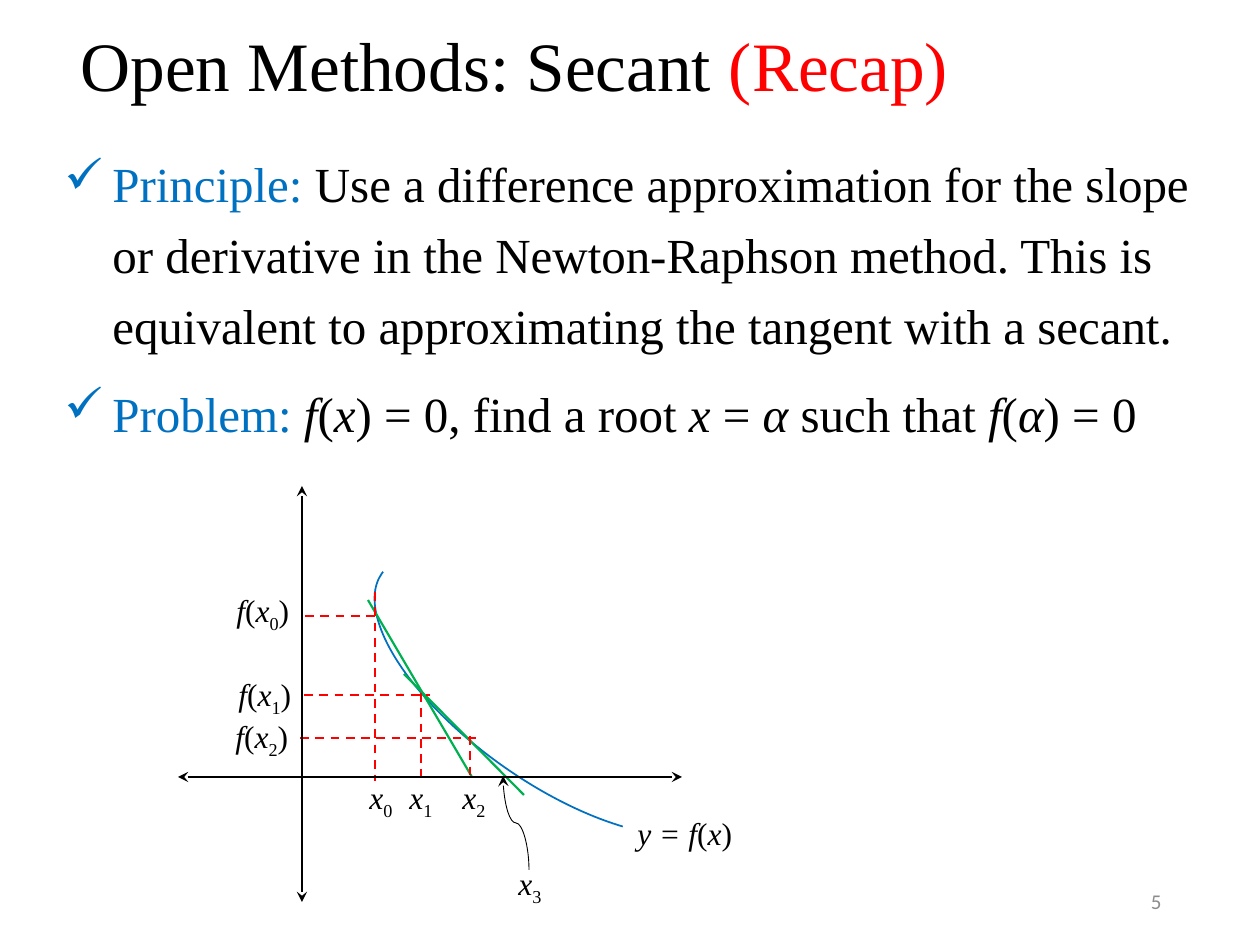
from dataclasses import dataclass
from itertools import groupby

from lxml.etree import SubElement
from pptx import Presentation
from pptx.dml.color import RGBColor as Rgb
from pptx.enum.dml import MSO_LINE_DASH_STYLE as Dash
from pptx.enum.shapes import MSO_CONNECTOR as Link, MSO_SHAPE as Preset
from pptx.enum.text import MSO_ANCHOR as Anchor, PP_ALIGN as Align
from pptx.oxml.ns import qn
from pptx.util import Emu, Pt


@dataclass(frozen=True)
class Theme:
    """Colours, fonts and type sizes of the slide."""
    ink: Rgb = Rgb(0, 0, 0)
    recap: Rgb = Rgb(255, 0, 0)
    lead: Rgb = Rgb(0, 112, 192)
    secant: Rgb = Rgb(0, 176, 80)
    muted: Rgb = Rgb(140, 140, 140)
    serif: str = "Times New Roman"
    sans: str = "Calibri"
    title: float = 39.6
    body: int = 28
    label: int = 18
    number: int = 12


THEME = Theme()


def px(length):
    """Turn slide pixels into EMU."""
    return Emu(round(length * 914400 / 126))


def add_frame(shapes, box, anchor=Anchor.TOP):
    """Add a wrapping text box and return its text frame."""
    frame = shapes.add_textbox(*map(px, box)).text_frame
    frame.word_wrap = True
    frame.vertical_anchor = anchor
    return frame


def set_font(paragraph, size, color=THEME.ink, name=THEME.serif):
    """Set the font shared by a whole paragraph."""
    font = paragraph.font
    font.size, font.name = Pt(size), name
    font.color.rgb = color


def add_run(paragraph, text, color=None, italic=None):
    """Add a run with its own colour or slant."""
    run = paragraph.add_run()
    run.text = text
    run.font.italic = italic
    if color is not None:
        run.font.color.rgb = color
    return run


def add_title(slide, box):
    """Place the heading with its red suffix."""
    heading = add_frame(slide.shapes, box, Anchor.MIDDLE).paragraphs[0]
    heading.line_spacing = 0.9
    set_font(heading, THEME.title)
    add_run(heading, "Open Methods: Secant ")
    add_run(heading, "(Recap)", THEME.recap)


def add_points(slide, box):
    """Place the check-marked points, slanting every second piece."""
    points = (
        ("Principle: ", ("Use a difference approximation for the slope or derivative "
                         "in the Newton-Raphson method. This is equivalent to "
                         "approximating the tangent with a secant.",)),
        ("Problem: ", ("", "f", "(", "x", ") = 0, find a root ", "x", " = ", "α",
                       " such that ", "f", "(", "α", ") = 0")),
    )
    frame = add_frame(slide.shapes, box)
    for index, (lead, pieces) in enumerate(points):
        point = frame.add_paragraph() if index else frame.paragraphs[0]
        properties = point._p.get_or_add_pPr()
        properties.set("marL", str(px(48)))
        properties.set("indent", str(px(-48)))
        SubElement(properties, qn("a:buChar")).set("char", "✓")
        point.line_spacing = 1.2
        point.space_before = Pt(10 if index else 0)
        set_font(point, THEME.body)
        add_run(point, lead, THEME.lead)
        for place, piece in enumerate(pieces):
            if piece:
                add_run(point, piece, italic=place % 2 == 1)


def add_number(slide, box):
    """Place the slide number."""
    number = add_frame(slide.shapes, box, Anchor.MIDDLE).paragraphs[0]
    number.alignment = Align.RIGHT
    set_font(number, THEME.number, THEME.muted, THEME.sans)
    add_run(number, "5")


def add_line(shapes, ends, color, width, kind=Link.STRAIGHT, dash=None, arrows=()):
    """Add a connector with optional dashes and stealth arrowheads."""
    connector = shapes.add_connector(kind, *map(px, ends))
    line = connector.line
    line.color.rgb, line.width = color, Pt(width)
    if dash:
        line.dash_style = dash
    for arrow in arrows:
        SubElement(line._get_or_add_ln(), qn(f"a:{arrow}")).set("type", "stealth")
    SubElement(connector._element.spPr, qn("a:effectLst"))
    return connector


def add_label(shapes, box, formula):
    """Add a formula with slanted letters and lowered digits."""
    label = add_frame(shapes, box).paragraphs[0]
    set_font(label, THEME.label)
    for (lowered, bracket), letters in groupby(
            formula, lambda letter: (letter.isdigit(), letter in "()")):
        run = add_run(label, "".join(letters), italic=not (lowered or bracket))
        if lowered:
            run.font._element.set("baseline", "-25000")


def add_graph(slide, box):
    """Draw the function, its secants, guides, axes and labels."""
    left, top, width, height = box
    axis_x, axis_y = 124, 291
    shapes = slide.shapes.add_group_shape().shapes

    def shift(x1, y1, x2, y2):
        return left + x1, top + y1, left + x2, top + y2

    pointer = add_line(shapes, shift(291, 350, 385, 324), THEME.ink, 0.5,
                       Link.CURVE, arrows=("tailEnd",))
    pointer._element.spPr.xfrm.set("rot", str(270 * 60000))

    curve = shapes.add_shape(
        Preset.ARC, *map(px, (left + 288, top - 2, 176, 421)))
    curve.rotation = 125.1
    curve.adjustments[0], curve.adjustments[1] = 178.45, 54.34
    curve.fill.background()
    curve.line.color.rgb, curve.line.width = THEME.lead, Pt(1)
    curve.shadow.inherit = False

    for ends in ((190, 114, 294, axis_y), (226, 188, 346, 309)):
        add_line(shapes, shift(*ends), THEME.secant, 1.25)

    for start, end, level in ((127, 203, 130), (126, 252, 209), (122, 298, 252)):
        add_line(shapes, shift(start, level, end, level), THEME.recap, 1.25,
                 dash=Dash.DASH)
    for root, start in ((197, 106), (243, 207), (292, 250)):
        add_line(shapes, shift(root, start, root, axis_y + 4), THEME.recap, 1.25,
                 dash=Dash.DASH)

    for ends in ((0, axis_y, width, axis_y), (axis_x, height, axis_x, 0)):
        add_line(shapes, shift(*ends), THEME.ink, 1.5, arrows=("headEnd", "tailEnd"))

    labels = (
        ("x0", 179, 286, 53), ("x1", 219, 286, 53), ("x2", 272, 286, 66),
        ("x3", 328, 372, 66), ("y = f(x)", 447, 322, 132),
        ("f(x0)", 46, 99, 96), ("f(x1)", 48, 183, 96), ("f(x2)", 45, 225, 96),
    )
    for formula, x, y, span in labels:
        add_label(shapes, (left + x, top + y, span, 50), formula)


def main():
    """Build and save the slide."""
    deck = Presentation()
    deck.slide_width, deck.slide_height = px(1260), px(945)
    slide = deck.slides.add_slide(deck.slide_layouts[6])
    add_title(slide, (68, 33, 1046, 72))
    add_points(slide, (52, 136, 1157, 756))
    add_number(slide, (890, 876, 284, 50))
    add_graph(slide, (178, 486, 504, 416))
    deck.save("out.pptx")


if __name__ == "__main__":
    main()
